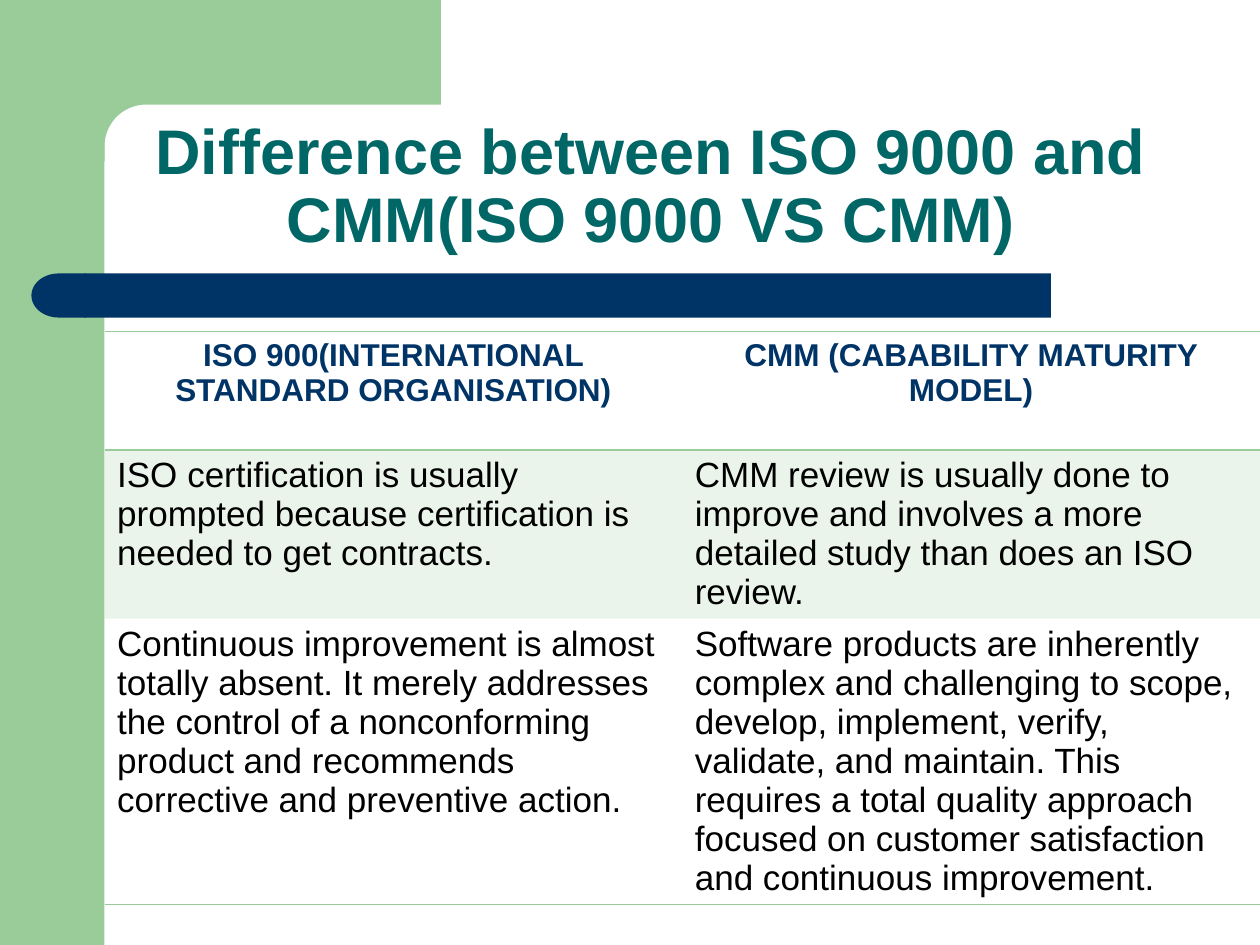
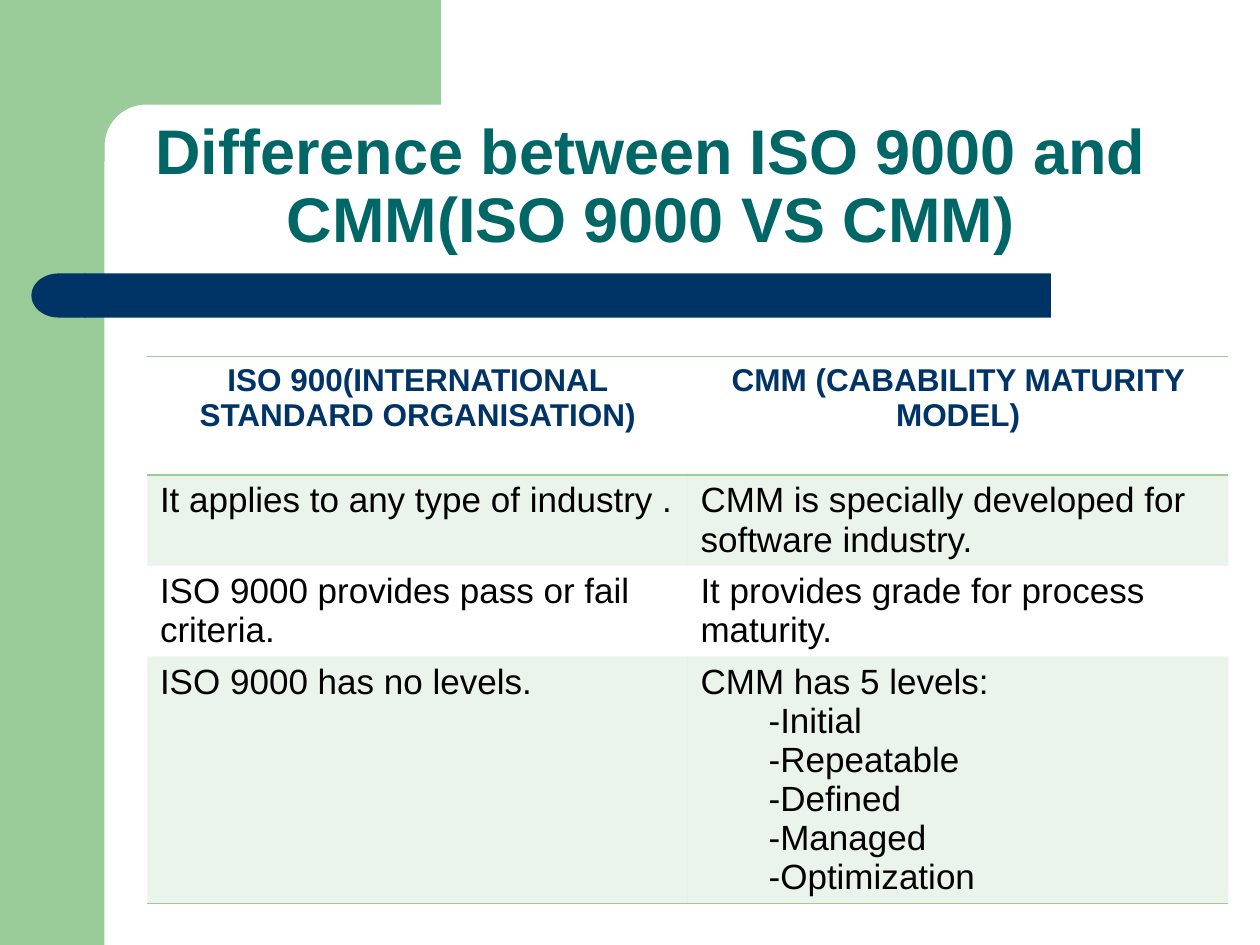
import math
from lxml import etree
from pptx import Presentation
from pptx.dml.color import RGBColor
from pptx.enum import shapes as es, text as et
from pptx.oxml import ns
from pptx.util import Inches, Pt

GREEN, NAVY, TEAL, BLACK = "99CC99", "003366", "006666", "000000"
FONT = "Arial"
PLAIN = "{2D5ABB26-0587-4C30-8999-92F81FD0307C}"  # table style without lines or fills
TITLE = "Difference between ISO 9000 and CMM(ISO 9000 VS CMM)"
HEADS = ("ISO 900(INTERNATIONAL STANDARD ORGANISATION)",
         "CMM (CABABILITY MATURITY MODEL)")
HEAD_H = 0.94
INDENT = 0.54


def color(code):
    return RGBColor.from_string(code)


def paint(shape, code):
    shape.shadow.inherit = False
    shape.fill.solid()
    shape.fill.fore_color.rgb = color(code)
    shape.line.fill.background()
    return shape


def style(para, size, code, bold):
    for run in para.runs:
        font = run.font
        font.name, font.size, font.bold = FONT, Pt(size), bold
        font.color.rgb = color(code)


# Shared frame: green side band and corner, navy bar
def add_corner(shapes, left, top, right, low, bend, drop, rad):
    """Green block whose inner corner is a quarter circle."""
    arc = [(bend + rad * (1 - math.sin(a)), drop + rad * (1 - math.cos(a)))
           for a in (math.radians(6 * i) for i in range(16))]
    points = [(right, top), (right, drop), *arc, (bend, low), (left, low), (left, top)]
    points = [(Inches(x), Inches(y)) for x, y in points]
    form = shapes.build_freeform(*points[0])
    form.add_line_segments(points[1:], close=True)
    return paint(form.convert_to_shape(), GREEN)


def add_frame(slide, layout):
    kind, shapes = es.MSO_SHAPE, slide.shapes

    def block(shape, code, *box):
        return paint(shapes.add_shape(shape, *map(Inches, box)), code)

    band = block(kind.RECTANGLE, GREEN, 0, 0, 0.83, 7.5)
    corner = add_corner(shapes, 0.5, 0, 3.5, 1.28, 0.83, 0.83, 0.33)
    bar = block(kind.ROUNDED_RECTANGLE, NAVY, 0.67, 2.17, 7.67, 0.35)
    bar.adjustments[0] = 0
    cap = block(kind.FLOWCHART_DELAY, NAVY, 0.25, 2.17, 0.43, 0.35)
    cap.element.spPr.get_or_add_xfrm().set("flipH", "1")
    # The layout carries the frame, behind its placeholders
    for i, part in enumerate((band, corner, bar, cap)):
        part.element.xpath(".//p:cNvPr")[0].set("id", str(100 + i))
        layout.shapes.element.insert(2 + i, part.element)


def set_title(slide, text, left, top, width, height):
    title = slide.shapes.title
    title.left, title.top = Inches(left), Inches(top)
    title.width, title.height = Inches(width), Inches(height)
    frame = title.text_frame
    frame.text = text
    frame.word_wrap = True
    frame.auto_size = et.MSO_AUTO_SIZE.NONE
    frame.vertical_anchor = et.MSO_ANCHOR.BOTTOM
    para = frame.paragraphs[0]
    para.alignment, para.line_spacing = et.PP_ALIGN.CENTER, 0.9
    style(para, 36, TEAL, True)


# Comparison table
def add_edges(cell, tags):
    props = cell._tc.get_or_add_tcPr()
    for i, tag in enumerate(tags):
        line = etree.Element(ns.qn("a:" + tag), w=str(Pt(1)))
        fill = etree.SubElement(line, ns.qn("a:solidFill"))
        etree.SubElement(fill, ns.qn("a:srgbClr"), val=GREEN)
        props.insert(i, line)


def tint(cell):
    cell.fill.solid()
    cell.fill.fore_color.rgb = color(GREEN)
    tone = cell._tc.tcPr.find(".//" + ns.qn("a:srgbClr"))
    etree.SubElement(tone, ns.qn("a:alpha"), val="20000")


def fill_cell(cell, text, head):
    cell.text_frame.text = text
    for i, para in enumerate(cell.text_frame.paragraphs):
        if i:
            para._p.get_or_add_pPr().set("marL", str(Inches(INDENT)))
        if head:
            para.alignment = et.PP_ALIGN.CENTER
        style(para, 18 if head else 20, NAVY if head else BLACK, head)


def add_compare(slide, left, top, width, rows):
    """rows: (height, ISO text, CMM text) below the heading row."""
    rows = [(HEAD_H, *HEADS), *rows]
    high = sum(row[0] for row in rows)
    table = slide.shapes.add_table(
        len(rows), 2, Inches(left), Inches(top), Inches(width), Inches(high)).table
    table._tbl.tblPr.find(ns.qn("a:tableStyleId")).text = PLAIN
    table.first_row = table.horz_banding = False
    for r, (height, *texts) in enumerate(rows):
        table.rows[r].height = Inches(height)
        for c, text in enumerate(texts):
            cell = table.cell(r, c)
            fill_cell(cell, text, r == 0)
            if r % 2:
                tint(cell)
            else:
                cell.fill.background()
            if r == 0:
                add_edges(cell, ("lnT", "lnB"))
            elif r == len(rows) - 1:
                add_edges(cell, ("lnB",))


REVIEW = [
    (1.34, "ISO certification is usually prompted because certification is needed "
     "to get contracts.",
     "CMM review is usually done to improve and involves a more detailed study "
     "than does an ISO review."),
    (2.27, "Continuous improvement is almost totally absent. It merely addresses the "
     "control of a nonconforming product and recommends corrective and preventive "
     "action.",
     "Software products are inherently complex and challenging to scope, develop, "
     "implement, verify, validate, and maintain. This requires a total quality "
     "approach focused on customer satisfaction and continuous improvement."),
]
LEVELS = [
    (0.72, "It applies to any type of industry .",
     "CMM is specially developed for software industry."),
    (0.72, "ISO 9000 provides pass or fail criteria.",
     "It provides grade for process maturity."),
    (1.96, "ISO 9000 has no levels.",
     "CMM has 5 levels:\n-Initial\n-Repeatable\n-Defined\n-Managed\n-Optimization"),
]


def main():
    prs = Presentation()
    prs.slide_width, prs.slide_height = Inches(10), Inches(7.5)
    layout = prs.slide_layouts[5]
    tables = ((0.83, 2.63, 9.17, REVIEW), (1.17, 2.83, 8.58, LEVELS))
    for i, table in enumerate(tables):
        slide = prs.slides.add_slide(layout)
        if i == 0:
            add_frame(slide, layout)
        set_title(slide, TITLE, 0.83, 0.83, 8.67, 1.25)
        add_compare(slide, *table)
    prs.save("out.pptx")


if __name__ == "__main__":
    main()
